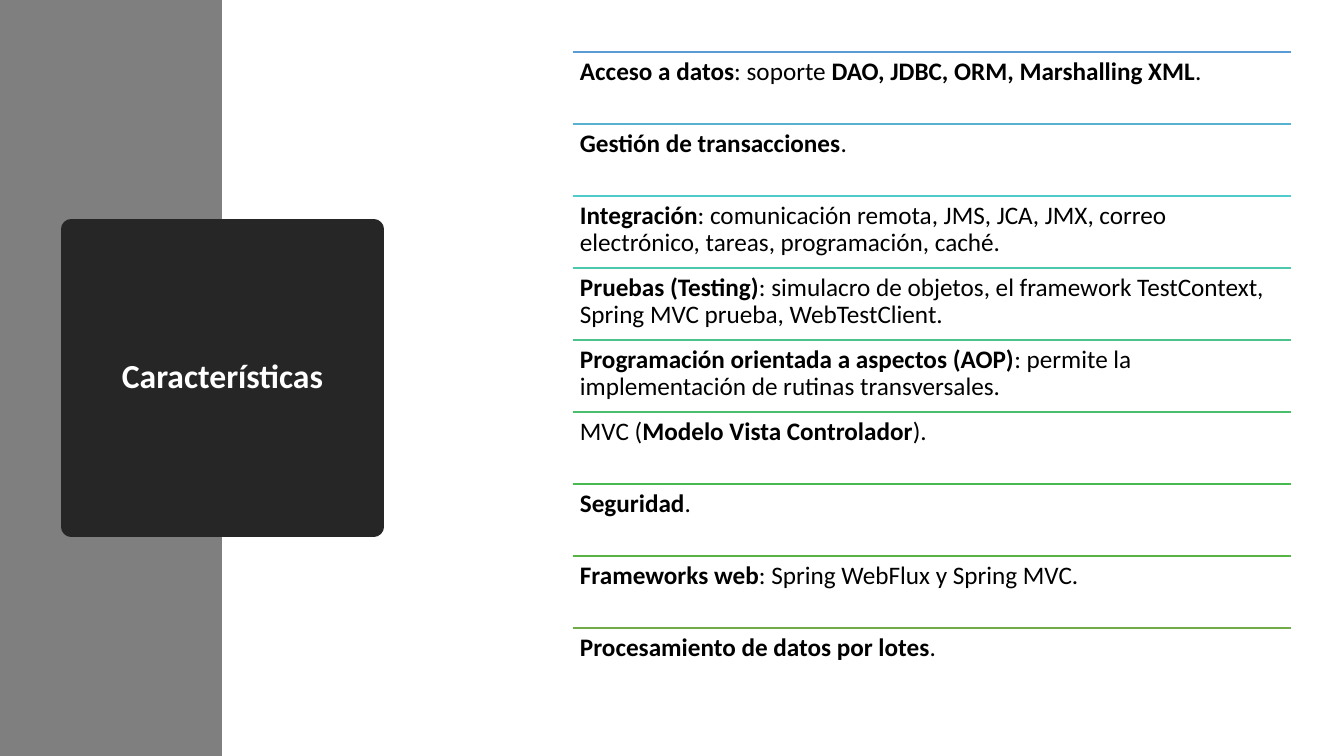
from pptx import Presentation
from pptx.dml.color import RGBColor
from pptx.enum.shapes import MSO_CONNECTOR, MSO_SHAPE
from pptx.enum.text import MSO_ANCHOR, PP_ALIGN
from pptx.oxml.ns import qn
from pptx.util import Emu, Pt

COLORS = {"band": "7F7F7F", "title_box": "262626", "title": "FFFFFF", "text": "000000"}
FONT = "Calibri"


def px(pixels):
    return Emu(round(pixels * 914400 / 100.8))


def add_block(left, top, width, height, color):
    shape = slide.shapes.add_shape(
        MSO_SHAPE.RECTANGLE, px(left), px(top), px(width), px(height))
    shape.shadow.inherit = False
    shape.fill.solid()
    shape.fill.fore_color.rgb = RGBColor.from_string(color)
    shape.line.fill.background()
    return shape


presentation = Presentation()
presentation.slide_width = px(1344)
presentation.slide_height = px(756)
slide = presentation.slides.add_slide(presentation.slide_layouts[6])

# Side band
add_block(0, 0, 222, 756, COLORS["band"])

# Title box: a thick outline with round joins softens the corners
title_box = add_block(71, 229, 303, 298, COLORS["title_box"])
title_box.line.color.rgb = RGBColor.from_string(COLORS["title_box"])
title_box.line.width = Pt(13.75)
outline = title_box.line._get_or_add_ln()
outline.append(outline.makeelement(qn("a:round"), {}))
title_box.text_frame.word_wrap = True
title_box.text_frame.vertical_anchor = MSO_ANCHOR.MIDDLE
paragraph = title_box.text_frame.paragraphs[0]
paragraph.text = "Características"
paragraph.alignment = PP_ALIGN.CENTER
paragraph.line_spacing = 0.9
paragraph.font.name = FONT
paragraph.font.size = Pt(24)
paragraph.font.bold = True
paragraph.font.color.rgb = RGBColor.from_string(COLORS["title"])

# Features: line colour and text, with ** around the bold parts
features = [
    ("599BD5", "**Acceso a datos**: soporte **DAO, JDBC, ORM, Marshalling XML**."),
    ("56B2D0", "**Gestión de transacciones**."),
    ("52CBCC", "**Integración**: comunicación remota, JMS, JCA, JMX, correo "
               "electrónico, tareas, programación, caché."),
    ("4EC8AC", "**Pruebas (Testing)**: simulacro de objetos, el framework "
               "TestContext, Spring MVC prueba, WebTestClient."),
    ("4CC38C", "**Programación orientada a aspectos (AOP)**: permite la "
               "implementación de rutinas transversales."),
    ("49BF6C", "MVC (**Modelo Vista Controlador**)."),
    ("46BA4E", "**Seguridad**."),
    ("58B345", "**Frameworks web**: Spring WebFlux y Spring MVC."),
    ("6FAB46", "**Procesamiento de datos por lotes**."),
]
LIST_LEFT, LIST_TOP, LIST_WIDTH, ROW_HEIGHT, INSET = 573, 52, 718, 72, 7

for index, (line_color, text) in enumerate(features):
    top = LIST_TOP + index * ROW_HEIGHT

    # Rule above the feature
    rule = slide.shapes.add_connector(
        MSO_CONNECTOR.STRAIGHT, px(LIST_LEFT), px(top), px(LIST_LEFT + LIST_WIDTH), px(top))
    rule.line.color.rgb = RGBColor.from_string(line_color)
    rule.line.width = Pt(1)
    properties = rule._element.spPr
    properties.append(properties.makeelement(qn("a:effectLst"), {}))

    # Feature text
    text_box = slide.shapes.add_textbox(
        px(LIST_LEFT), px(top), px(LIST_WIDTH), px(ROW_HEIGHT))
    frame = text_box.text_frame
    frame.word_wrap = True
    frame.margin_left = frame.margin_right = px(INSET)
    frame.margin_top = frame.margin_bottom = px(INSET)
    paragraph = frame.paragraphs[0]
    paragraph.line_spacing = 0.9
    paragraph.font.name = FONT
    paragraph.font.size = Pt(18)
    paragraph.font.color.rgb = RGBColor.from_string(COLORS["text"])
    for part, words in enumerate(text.split("**")):
        if words:
            run = paragraph.add_run()
            run.text = words
            run.font.bold = part % 2 == 1

presentation.save("out.pptx")
